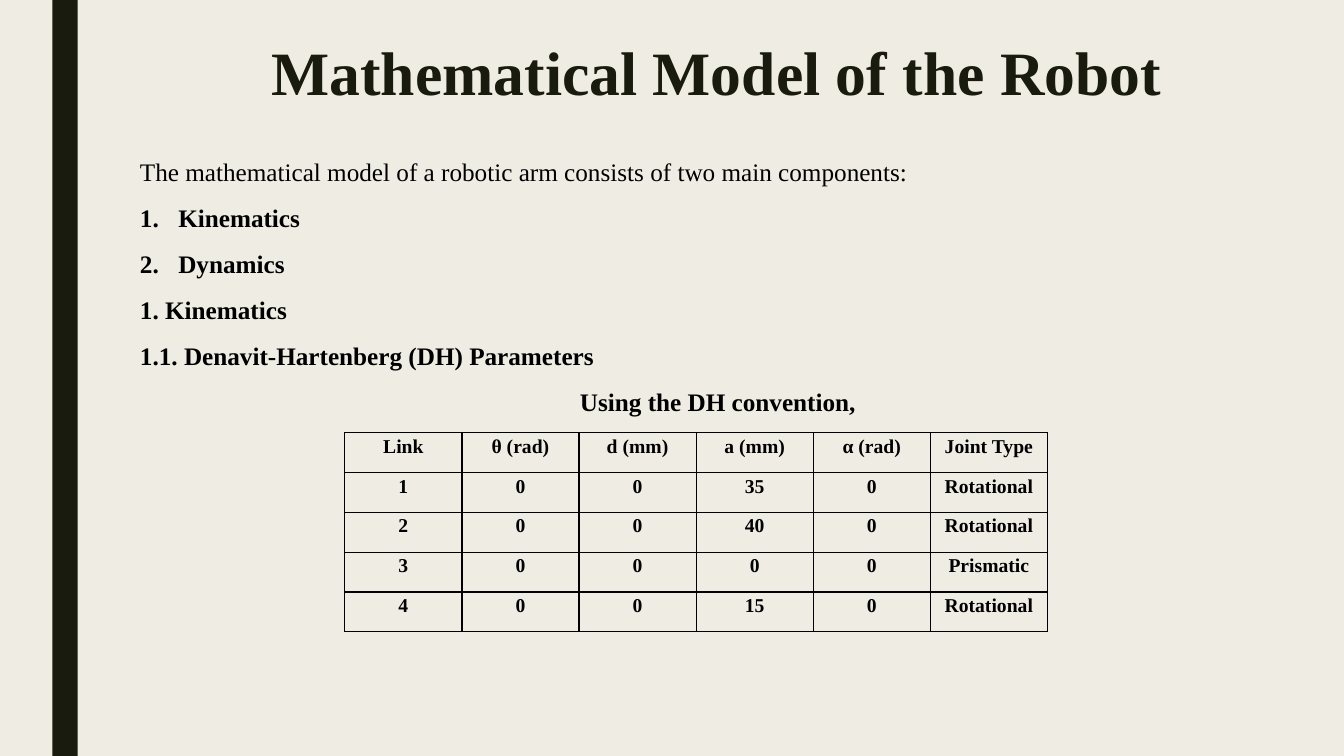
import pptx
import pptx.util
import pptx.dml.color
import pptx.enum.shapes
import pptx.enum.text
import pptx.oxml
import pptx.oxml.ns

Inches, Pt = pptx.util.Inches, pptx.util.Pt
ALIGN = pptx.enum.text.PP_ALIGN
ANCHOR = pptx.enum.text.MSO_ANCHOR
NS = pptx.oxml.ns.nsdecls("a")

THEME = {
    "font": "Times New Roman",
    "paper": "EFEDE3", "dark": "191B0E", "ink": "000000",
    "title": 44, "body": 18, "cell": 14, "rule": 1,
}
WIDE, HIGH = 13.33, 7.5

LINES = [  # text, bold, numbered, centred
    ("The mathematical model of a robotic arm consists of two main components:",
     False, False, False),
    ("Kinematics", True, True, False),
    ("Dynamics", True, True, False),
    ("1. Kinematics", True, False, False),
    ("1.1. Denavit-Hartenberg (DH) Parameters", True, False, False),
    ("Using the DH convention,", True, False, True),
]
LINKS = [
    ("Link", "θ (rad)", "d (mm)", "a (mm)", "α (rad)", "Joint Type"),
    ("1", "0", "0", "35", "0", "Rotational"),
    ("2", "0", "0", "40", "0", "Rotational"),
    ("3", "0", "0", "0", "0", "Prismatic"),
    ("4", "0", "0", "15", "0", "Rotational"),
]


def color(name):
    return pptx.dml.color.RGBColor.from_string(THEME[name])


def apply(item, values):
    for name, value in values.items():
        setattr(item, name, value)


def write(para, text, size, ink="ink", bold=True, **form):
    para.text = text
    apply(para, form)
    apply(para.font, {"name": THEME["font"], "size": Pt(THEME[size]), "bold": bold})
    para.font.color.rgb = color(ink)


def add_frame(slide, box):
    frame = slide.shapes.add_textbox(*map(Inches, box)).text_frame
    apply(frame, {"word_wrap": True, "vertical_anchor": ANCHOR.TOP})
    return frame


def add_bar(slide, box):
    kind = pptx.enum.shapes.MSO_SHAPE.RECTANGLE
    bar = slide.shapes.add_shape(kind, *map(Inches, box))
    bar.shadow.inherit = False
    bar.fill.solid()
    bar.fill.fore_color.rgb = color("dark")
    bar.line.fill.background()


def add_title(slide, box):
    para = add_frame(slide, box).paragraphs[0]
    write(para, "Mathematical Model of the Robot", "title", "dark",
          alignment=ALIGN.CENTER, line_spacing=0.89)


def number(para):
    props = para._p.get_or_add_pPr()
    dent = Inches(0.38)
    props.set("marL", str(dent))
    props.set("indent", str(-dent))
    for xml in (f'<a:buFont {NS} typeface="+mj-lt"/>',
                f'<a:buAutoNum {NS} type="arabicPeriod"/>',
                f'<a:tabLst {NS}><a:tab pos="{Inches(0.5)}" algn="l"/></a:tabLst>'):
        props.append(pptx.oxml.parse_xml(xml))


def add_body(slide, box):
    frame = add_frame(slide, box)
    for index, (text, bold, listed, mid) in enumerate(LINES):
        para = frame.add_paragraph() if index else frame.paragraphs[0]
        if listed:
            number(para)
        write(para, text, "body", bold=bold, line_spacing=1.15, space_after=Pt(8),
              alignment=ALIGN.CENTER if mid else ALIGN.LEFT)


def border(cell):
    props = cell._tc.get_or_add_tcPr()
    for side in "LRTB":
        props.append(pptx.oxml.parse_xml(
            f'<a:ln{side} {NS} w="{Pt(THEME["rule"])}"><a:solidFill>'
            f'<a:srgbClr val="{THEME["ink"]}"/></a:solidFill></a:ln{side}>'))


def add_links(slide, box):
    left, top, width, height = map(Inches, box)
    rows, cols = len(LINKS), len(LINKS[0])
    table = slide.shapes.add_table(rows, cols, left, top, width, height).table
    apply(table, {"first_row": False, "horz_banding": False})
    for col in table.columns:
        col.width = width // cols
    for row, values in zip(table.rows, LINKS):
        row.height = height // rows
        for cell, text in zip(row.cells, values):
            border(cell)
            cell.fill.background()
            apply(cell, {"margin_left": Inches(0.07), "margin_right": Inches(0.07),
                         "margin_top": 0, "margin_bottom": 0,
                         "vertical_anchor": ANCHOR.TOP})
            write(cell.text_frame.paragraphs[0], text, "cell",
                  alignment=ALIGN.CENTER, line_spacing=1.15)


def build(deck):
    slide = deck.slides.add_slide(deck.slide_layouts[6])
    slide.background.fill.solid()
    slide.background.fill.fore_color.rgb = color("paper")
    # Side bar
    add_bar(slide, (0.52, 0, 0.25, HIGH))
    # Heading and text
    add_title(slide, (1.86, 0.38, 10.5, 1.02))
    add_body(slide, (1.29, 1.46, 11.66, 4.58))
    # Link parameters
    add_links(slide, (3.42, 4.29, 6.97, 1.98))


def main():
    deck = pptx.Presentation()
    apply(deck, {"slide_width": Inches(WIDE), "slide_height": Inches(HIGH)})
    build(deck)
    deck.save("out.pptx")


if __name__ == "__main__":
    main()
